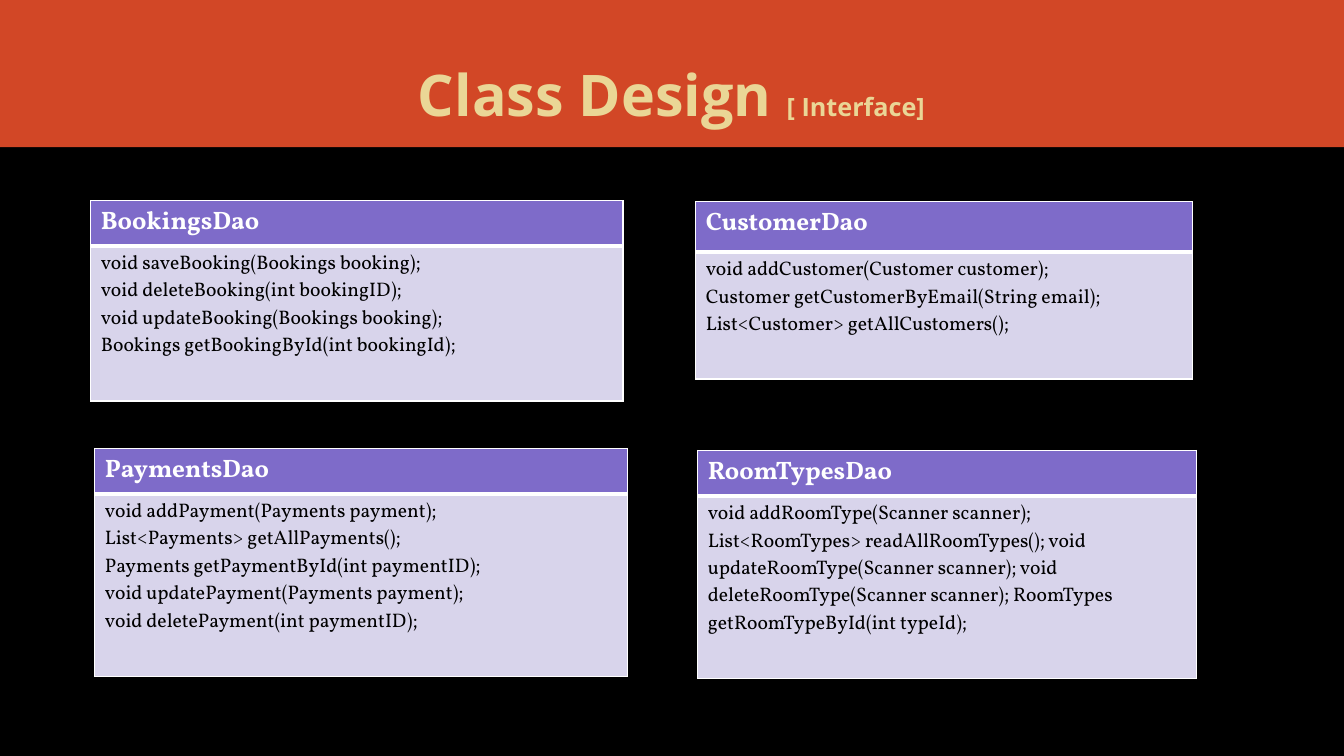
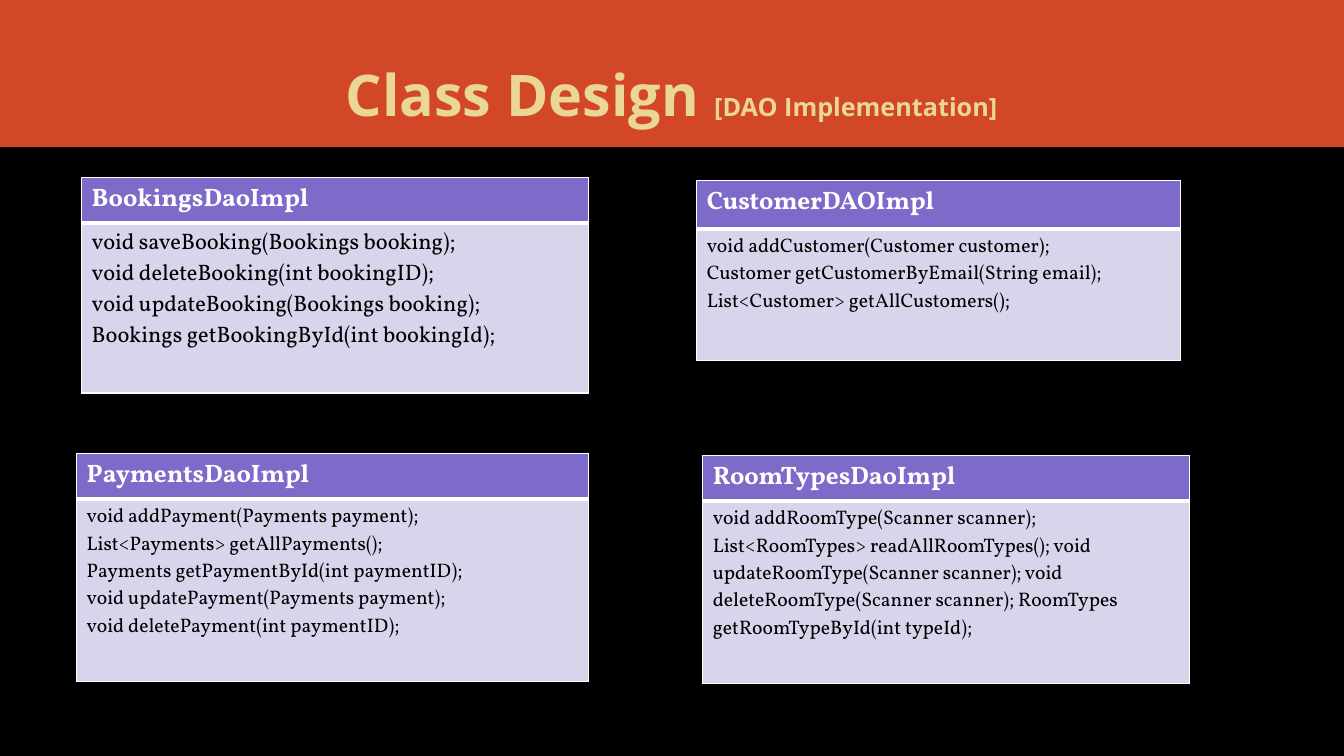
import pptx
import pptx.util
import pptx.dml.color
import pptx.enum.shapes
import pptx.enum.text
import pptx.oxml
import pptx.oxml.ns

Inches = pptx.util.Inches
Pt = pptx.util.Pt

# Shared look
BLACK, WHITE = "000000", "FFFFFF"
BAND, GOLD, DEEP = "D24726", "EAD696", "E7D081"
HEAD, BODY = "7E6BC9", "D8D4EB"
SANS, SERIF = "Open Sans", "Vollkorn"

# Methods of each class, one per line
BOOKING = [
    "void saveBooking(Bookings booking);",
    "void deleteBooking(int bookingID);",
    "void updateBooking(Bookings booking);",
    "Bookings getBookingById(int bookingId);",
]
CLIENT = [
    "void addCustomer(Customer customer);",
    "Customer getCustomerByEmail(String email);",
    "List<Customer> getAllCustomers();",
]
PAYMENT = [
    "void addPayment(Payments payment);",
    "List<Payments> getAllPayments();",
    "Payments getPaymentById(int paymentID);",
    "void updatePayment(Payments payment);",
    "void deletePayment(int paymentID);",
]
ROOM = [
    "void addRoomType(Scanner scanner); List<RoomTypes> readAllRoomTypes(); "
    "void updateRoomType(Scanner scanner); void deleteRoomType(Scanner scanner); "
    "RoomTypes getRoomTypeById(int typeId);",
]

# Tag and cards: name, methods, left, top, width, head and body height, size
PAGES = [
    ("[ Interface]", [
        ("BookingsDao", BOOKING, 0.9, 1.99, 5.28, 0.44, 1.54, 14),
        ("CustomerDao", CLIENT, 6.9, 2, 4.93, 0.5, 1.26, 14),
        ("PaymentsDao", PAYMENT, 0.94, 4.45, 5.28, 0.45, 1.81, 14),
        ("RoomTypesDao", ROOM, 6.92, 4.47, 4.95, 0.45, 1.81, 14),
    ]),
    ("[DAO Implementation]", [
        ("BookingsDaoImpl", BOOKING, 0.81, 1.76, 5.03, 0.45, 1.69, 16),
        ("CustomerDAOImpl", CLIENT, 6.91, 1.79, 4.8, 0.48, 1.31, 14),
        ("PaymentsDaoImpl", PAYMENT, 0.76, 4.5, 5.08, 0.45, 1.81, 14),
        ("RoomTypesDaoImpl", ROOM, 6.97, 4.52, 4.83, 0.45, 1.81, 14),
    ]),
]


def rgb(code):
    return pptx.dml.color.RGBColor.from_string(code)


def paint(fill, code):
    fill.solid()
    fill.fore_color.rgb = rgb(code)


def write(para, text, size, font=SERIF, color=BLACK, bold=False, fade=None):
    """Add a run; fade is the end colour of a gradient."""
    run = para.add_run()
    run.text = text
    face = run.font
    face.name, face.size, face.bold = font, Pt(size), bold
    if fade is None:
        paint(face.fill, color)
        return
    face.fill.gradient()
    face.fill.gradient_angle = 280
    stops = zip(face.fill.gradient_stops, (color, fade), (0.73, 1))
    for stop, code, place in stops:
        stop.color.rgb = rgb(code)
        stop.position = place


def edge(cell, **widths):
    """Draw white cell borders, given as L, R, T and B in points."""
    props = cell._tc.get_or_add_tcPr()
    for spot, side in enumerate("LRTB"):
        props.insert(spot, pptx.oxml.parse_xml(
            f'<a:ln{side} {pptx.oxml.ns.nsdecls("a")} '
            f'w="{Pt(widths.get(side, 1))}"><a:solidFill>'
            f'<a:srgbClr val="{WHITE}"/></a:solidFill></a:ln{side}>'))


def band(slide, width):
    """Draw the band behind the title."""
    bar = slide.shapes.add_shape(
        pptx.enum.shapes.MSO_SHAPE.RECTANGLE, 0, 0, width, Inches(1.46))
    bar.shadow.inherit = False
    paint(bar.fill, BAND)
    bar.line.fill.background()
    slide.shapes.element.insert(2, bar.element)


def title(slide, tag):
    box = slide.shapes.title
    box.left, box.top = Inches(0.66), Inches(0.3)
    box.width, box.height = Inches(12), Inches(1.25)
    frame = box.text_frame
    frame.word_wrap = True
    frame.vertical_anchor = pptx.enum.text.MSO_ANCHOR.MIDDLE
    para = frame.paragraphs[0]
    para.alignment = pptx.enum.text.PP_ALIGN.CENTER
    for text, size in (("Class Design ", 41), (tag, 18)):
        write(para, text, size, font=SANS, color=GOLD, bold=True, fade=DEEP)


def card(slide, name, lines, left, top, width, head, body, size):
    """Draw a class as a table: its name above its methods."""
    grid = slide.shapes.add_table(
        2, 1, Inches(left), Inches(top),
        Inches(width), Inches(head + body)).table
    grid.horz_banding = False
    for row, high in zip(grid.rows, (head, body)):
        row.height = Inches(high)

    cap, calls = grid.cell(0, 0), grid.cell(1, 0)
    paint(cap.fill, HEAD)
    edge(cap, B=3)
    write(cap.text_frame.paragraphs[0], name, 18, color=WHITE, bold=True)

    paint(calls.fill, BODY)
    edge(calls, T=3)
    para = calls.text_frame.paragraphs[0]
    for rank, line in enumerate(lines):
        if rank:
            para.add_line_break()
        write(para, line, size)


def main():
    deck = pptx.Presentation()
    deck.slide_width, deck.slide_height = Inches(13.33), Inches(7.5)
    paint(deck.slide_master.background.fill, BLACK)
    layout = deck.slide_layouts.get_by_name("Title Only")
    for tag, cards in PAGES:
        slide = deck.slides.add_slide(layout)
        band(slide, deck.slide_width)
        title(slide, tag)
        for item in cards:
            card(slide, *item)
    deck.save("out.pptx")


if __name__ == "__main__":
    main()
